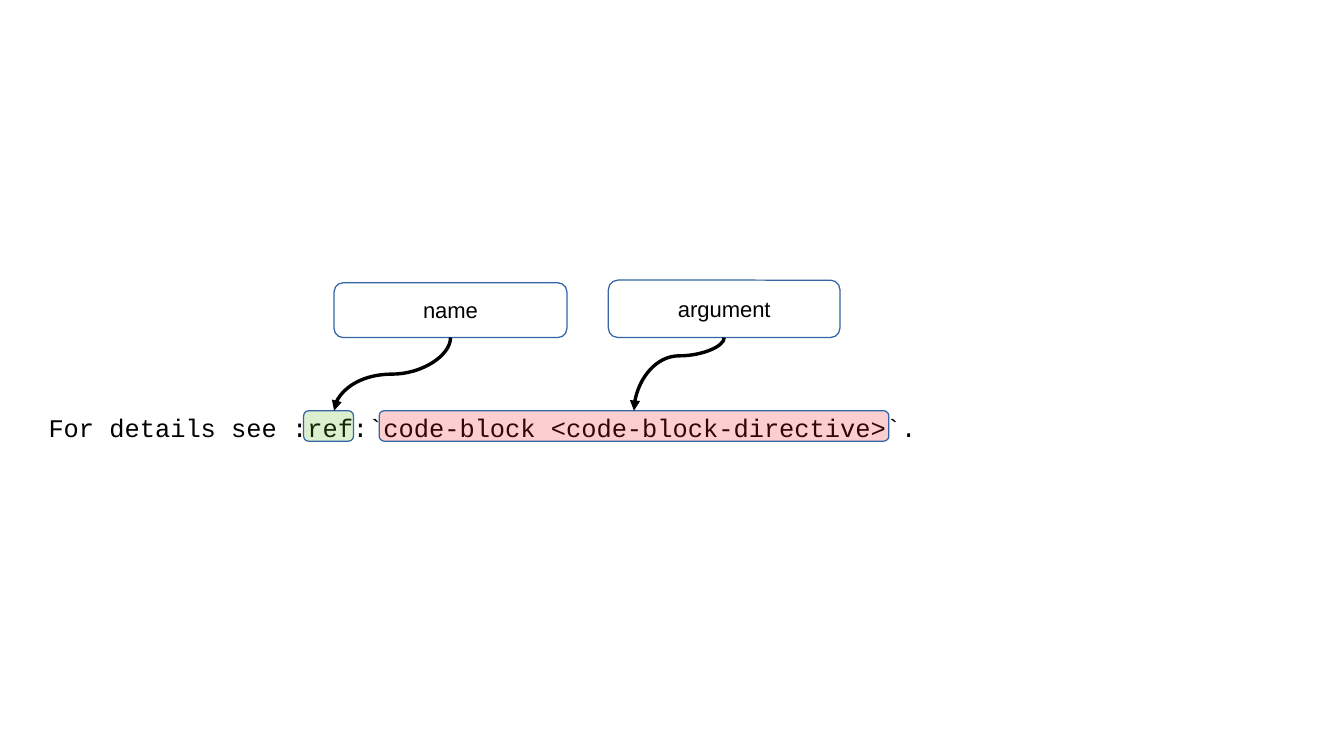
from lxml.etree import SubElement
from pptx import Presentation
from pptx.dml.color import RGBColor
from pptx.enum.shapes import MSO_CONNECTOR, MSO_SHAPE
from pptx.enum.text import MSO_ANCHOR, PP_ALIGN
from pptx.oxml.ns import qn
from pptx.util import Pt

BLACK = RGBColor(0x00, 0x00, 0x00)
WHITE = RGBColor(0xFF, 0xFF, 0xFF)
BLUE = RGBColor(0x34, 0x65, 0xA4)
GREEN = RGBColor(0x5E, 0xB9, 0x1E)
RED = RGBColor(0xED, 0x1C, 0x24)

# Content: code line, marks (left, width, fill), labels and their arrows
CODE = "For details see :ref:`code-block <code-block-directive>`."
MARKS = [(223.9, 301, RED), (179.3, 29.5, GREEN)]
# text, left, top, width, opacity, arrow tip x, bend
LABELS = [
    ("argument", 359.3, 165.5, 136.8, 20, 374.4, 0.25),
    ("name", 197.3, 167, 137.5, 21, 197.3, 0.5),
]
BASE = 199.4  # bottom of the labels
ROW, HIGH = 242.6, 18  # top and height of the marks

deck = Presentation()
deck.slide_width, deck.slide_height = Pt(793.7), Pt(446.5)
slide = deck.slides.add_slide(deck.slide_layouts[6])
shapes = slide.shapes


def write(frame, text, font, size):
    run = frame.paragraphs[0].add_run()
    run.text = text
    run.font.name, run.font.size = font, Pt(size)
    run.font.color.rgb = BLACK


def add_box(left, top, width, height, color, alpha):
    box = shapes.add_shape(MSO_SHAPE.ROUNDED_RECTANGLE,
                           Pt(left), Pt(top), Pt(width), Pt(height))
    box.shadow.inherit = False
    box.adjustments[0] = 0.167
    box.fill.solid()
    box.fill.fore_color.rgb = color
    tint = box.fill._xPr.find(qn("a:solidFill"))[0]
    SubElement(tint, qn("a:alpha"), val=str(alpha * 1000))
    box.line.color.rgb = BLUE
    box.line.width = Pt(0)
    return box


def add_arrow(start, tip, bend):
    # A quarter turn makes the curve leave and arrive vertically
    drop, shift = ROW - BASE, start - tip
    mid_x, mid_y = (start + tip) / 2, (BASE + ROW) / 2
    left, top = mid_x - drop / 2, mid_y - shift / 2
    arrow = shapes.add_connector(MSO_CONNECTOR.CURVE, Pt(left), Pt(top),
                                 Pt(left + drop), Pt(top + shift))
    arrow.line.color.rgb = BLACK
    arrow.line.width = Pt(0)
    props = arrow._element.spPr
    props.find(qn("a:xfrm")).set("rot", "5400000")
    guides = props.find(qn("a:prstGeom")).find(qn("a:avLst"))
    SubElement(guides, qn("a:gd"), name="adj1",
               fmla=f"val {round(bend * 100000)}")
    SubElement(props.find(qn("a:ln")), qn("a:tailEnd"), type="triangle")
    SubElement(props, qn("a:effectLst"))


# Code line
line = shapes.add_textbox(Pt(21.6), Pt(239.8), Pt(554.4), Pt(41))
line.text_frame.word_wrap = True
write(line.text_frame, CODE, "Courier New", 15)

# Marks over the code
for left, width, color in MARKS:
    add_box(left, ROW, width, HIGH, color, 21)

# Labels
for text, left, top, width, alpha, tip, bend in LABELS:
    frame = add_box(left, top, width, BASE - top, WHITE, alpha).text_frame
    frame.word_wrap = False
    frame.vertical_anchor = MSO_ANCHOR.MIDDLE
    frame.paragraphs[0].alignment = PP_ALIGN.CENTER
    write(frame, text, "Arial", 13)

# Arrows from the labels to the marks
for text, left, top, width, alpha, tip, bend in LABELS:
    add_arrow(left + width / 2, tip, bend)

deck.save("out.pptx")
